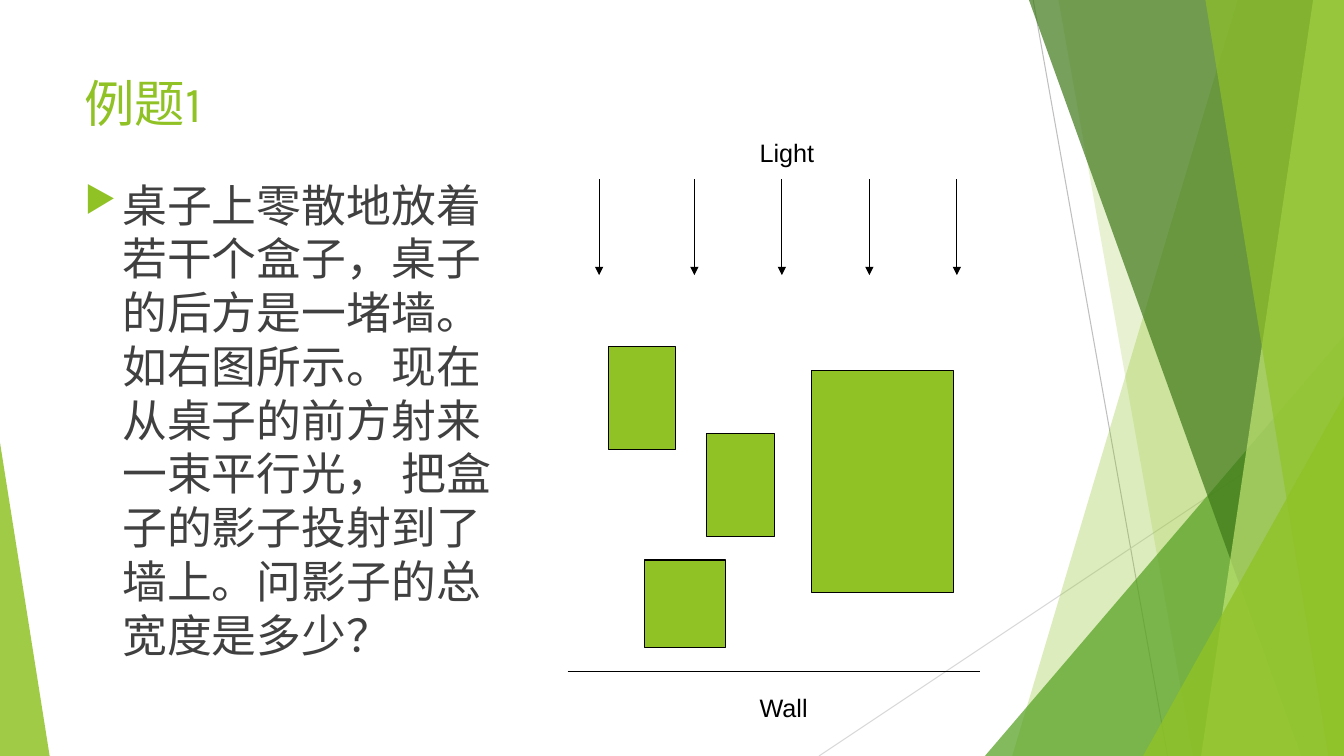
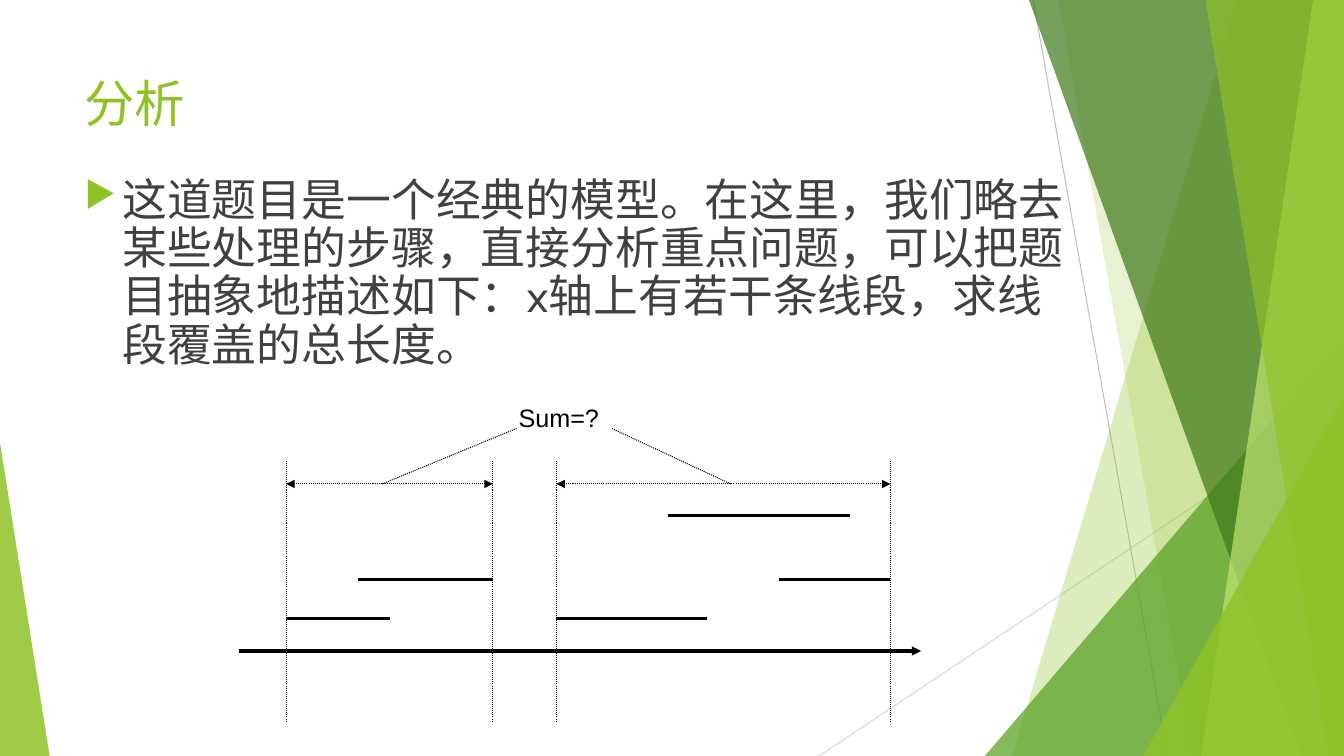
import lxml.etree
import pptx
import pptx.dml.color
import pptx.enum.dml
import pptx.enum.shapes
import pptx.enum.text
import pptx.oxml.ns
import pptx.util

Pt = pptx.util.Pt
SHAPES = pptx.enum.shapes.MSO_SHAPE
WIDTH, HEIGHT = 960, 540
GREEN, MID_GREEN, DARK_GREEN, PALE_GREEN = "90C226", "54A021", "3F7819", "C0E474"
BLACK, BODY_GREY = "000000", "404040"

# Background lines: start, end, colour
BACKGROUND_LINES = [((738, 0), (834, HEIGHT), "BFBFBF"),
                    ((WIDTH, 290), (585, HEIGHT), "D9D9D9")]
# Bands run to the right edge: top left x, bottom left x, colour, opacity
# Triangles: box, apex position, colour, opacity
BACKGROUND_FACETS = [
    ("band", (884, 723), GREEN, 30),
    ("band", (756, 852), GREEN, 20),
    ("triangle", ((703.5, 240, 256.5, 300), 1), MID_GREEN, 72),
    ("band", (735, 929.5), DARK_GREEN, 70),
    ("band", (938, 858), PALE_GREEN, 70),
    ("band", (861, 949), GREEN, 65),
    ("triangle", ((816.5, 283, 143.5, 257), 1), GREEN, 80),
    ("triangle", ((0, 316, 35.5, 224), 0), GREEN, 85),
]

TITLE_STYLE = {"size": 36, "font": "Karla", "color": GREEN}
BODY_STYLE = {"size": 32, "font": "Karla", "color": BODY_GREY}
LABEL_STYLE = {"size": 18, "font": "Arial", "color": BLACK}
FRAME_FORMAT = {
    "word_wrap": True,
    "vertical_anchor": pptx.enum.text.MSO_ANCHOR.TOP,
    "margin_left": Pt(7.2), "margin_right": Pt(7.2),
    "margin_top": Pt(3.6), "margin_bottom": Pt(3.6),
}
TITLE_BOX = (53.3, 48.2, 677, 51)

PROBLEM = {
    "title": "例题1",
    "body": "桌子上零散地放着若干个盒子，桌子的后方是一堵墙。如右图所示。"
            "现在从桌子的前方射来一束平行光， 把盒子的影子投射到了墙上。问影子的总宽度是多少？",
    "body_box": (53.3, 123.1, 322, 389),
    "line_spacing": 1.0,
}
ANALYSIS = {
    "title": "分析",
    "body": "这道题目是一个经典的模型。在这里，我们略去某些处理的步骤，直接分析重点问题，"
            "可以把题目抽象地描述如下：x轴上有若干条线段，求线段覆盖的总长度。",
    "body_box": (53.3, 123.1, 722, 161),
    "line_spacing": 0.9,
}

# Light, boxes and wall
LIGHT_LABEL = ("Light", (535.5, 94.3, 73, 29))
WALL_LABEL = ("Wall", (535.5, 491, 57, 29))
LIGHT_XS = [428, 496, 558.5, 621, 683.5]
LIGHT_TOP, LIGHT_BOTTOM = 128, 196.5
TABLE_BOXES = [(434.5, 247.5, 48, 73.5), (504.5, 309.5, 48.5, 73.5),
               (460.5, 400, 57.5, 62.5), (579.5, 264.5, 101.5, 158.5)]
WALL_LEFT, WALL_RIGHT, WALL_Y = 405.5, 700, 479.5

# Segments on the x axis, with the covered intervals
SUM_LABEL = ("Sum=?", (363.3, 283.7, 73, 29))
COVERED = [(204.5, 352), (397.5, 636)]
GUIDE_TOP, GUIDE_BOTTOM, SPAN_Y = 329, 515, 345.7
SEGMENTS = [(204.5, 278.5, 442), (255.5, 352, 414), (397.5, 505, 442),
            (477, 607, 368.5), (556.5, 636, 414)]
AXIS_LEFT, AXIS_RIGHT, AXIS_Y = 170.5, 658, 465
LEADERS = [((273, SPAN_Y), (369, 306)), ((522, SPAN_Y), (437, 306))]


def rgb(color):
    return pptx.dml.color.RGBColor.from_string(color)


def add_element(parent, tag, **attributes):
    return lxml.etree.SubElement(parent, pptx.oxml.ns.qn(tag), attributes)


def paint(shape, color, opacity=100, outline=None):
    shape.shadow.inherit = False
    shape.fill.solid()
    shape.fill.fore_color.rgb = rgb(color)
    if opacity < 100:
        color_element = shape.fill._xPr.find(".//" + pptx.oxml.ns.qn("a:srgbClr"))
        add_element(color_element, "a:alpha", val=str(opacity * 1000))
    if outline:
        shape.line.color.rgb = rgb(outline)
        shape.line.width = Pt(0.75)
    else:
        shape.line.fill.background()


def add_line(slide, start, end, color=BLACK, width=0.75, dotted=False, arrows=()):
    """Draw a straight line; arrows may hold "head" (start) and "tail" (end)."""
    connector = slide.shapes.add_connector(
        pptx.enum.shapes.MSO_CONNECTOR.STRAIGHT, *map(Pt, (*start, *end)))
    connector.line.color.rgb = rgb(color)
    connector.line.width = Pt(width)
    if dotted:
        connector.line.dash_style = pptx.enum.dml.MSO_LINE.ROUND_DOT
    for arrow in arrows:
        add_element(connector.line._get_or_add_ln(), f"a:{arrow}End", type="triangle")
    add_element(connector._element.spPr, "a:effectLst")


def add_text(slide, text, box, style):
    text_box = slide.shapes.add_textbox(*map(Pt, box))
    for name, value in FRAME_FORMAT.items():
        setattr(text_box.text_frame, name, value)
    paragraph = text_box.text_frame.paragraphs[0]
    run = paragraph.add_run()
    run.text = text
    run.font.size = Pt(style["size"])
    run.font.name = style["font"]
    run.font.color.rgb = rgb(style["color"])
    add_element(run._r.get_or_add_rPr(), "a:ea", typeface=style["font"])
    return paragraph


def add_bullet(paragraph):
    properties = paragraph._p.get_or_add_pPr()
    properties.set("marL", str(Pt(27)))
    properties.set("indent", str(-Pt(27)))
    bullet_color = add_element(properties, "a:buClr")
    add_element(bullet_color, "a:srgbClr", val=GREEN)
    add_element(properties, "a:buSzPct", val="80000")
    add_element(properties, "a:buChar", char="▶")


def add_band(slide, top_x, bottom_x):
    builder = slide.shapes.build_freeform(Pt(top_x), Pt(0))
    corners = [(WIDTH, 0), (WIDTH, HEIGHT), (bottom_x, HEIGHT)]
    builder.add_line_segments([(Pt(x), Pt(y)) for x, y in corners], close=True)
    return builder.convert_to_shape()


def add_triangle(slide, box, apex):
    triangle = slide.shapes.add_shape(SHAPES.ISOSCELES_TRIANGLE, *map(Pt, box))
    triangle.adjustments[0] = apex
    return triangle


def add_background(slide):
    for start, end, color in BACKGROUND_LINES:
        add_line(slide, start, end, color)
    draw = {"band": add_band, "triangle": add_triangle}
    for kind, geometry, color, opacity in BACKGROUND_FACETS:
        paint(draw[kind](slide, *geometry), color, opacity)


def add_content_slide(presentation, content):
    slide = presentation.slides.add_slide(presentation.slide_layouts[6])
    add_background(slide)
    add_text(slide, content["title"], TITLE_BOX, TITLE_STYLE)
    body = add_text(slide, content["body"], content["body_box"], BODY_STYLE)
    body.line_spacing = content["line_spacing"]
    add_bullet(body)
    return slide


def draw_shadow_scene(slide):
    add_line(slide, (WALL_LEFT, WALL_Y), (WALL_RIGHT, WALL_Y))
    for box in TABLE_BOXES:
        rectangle = slide.shapes.add_shape(SHAPES.RECTANGLE, *map(Pt, box))
        paint(rectangle, GREEN, outline=BLACK)
    for x in LIGHT_XS:
        add_line(slide, (x, LIGHT_TOP), (x, LIGHT_BOTTOM), arrows=["tail"])
    for label in (WALL_LABEL, LIGHT_LABEL):
        add_text(slide, *label, LABEL_STYLE)


def draw_segment_cover(slide):
    for left, right in COVERED:
        for x in (left, right):
            add_line(slide, (x, GUIDE_TOP), (x, GUIDE_BOTTOM), dotted=True)
        add_line(slide, (left, SPAN_Y), (right, SPAN_Y), dotted=True,
                 arrows=["head", "tail"])
    add_line(slide, (AXIS_LEFT, AXIS_Y), (AXIS_RIGHT, AXIS_Y), width=2.25,
             arrows=["tail"])
    for left, right, y in SEGMENTS:
        add_line(slide, (left, y), (right, y), width=2.25)
    add_text(slide, *SUM_LABEL, LABEL_STYLE)
    for start, end in LEADERS:
        add_line(slide, start, end, dotted=True)


def main():
    presentation = pptx.Presentation()
    presentation.slide_width, presentation.slide_height = Pt(WIDTH), Pt(HEIGHT)
    draw_shadow_scene(add_content_slide(presentation, PROBLEM))
    draw_segment_cover(add_content_slide(presentation, ANALYSIS))
    presentation.save("out.pptx")


if __name__ == "__main__":
    main()
